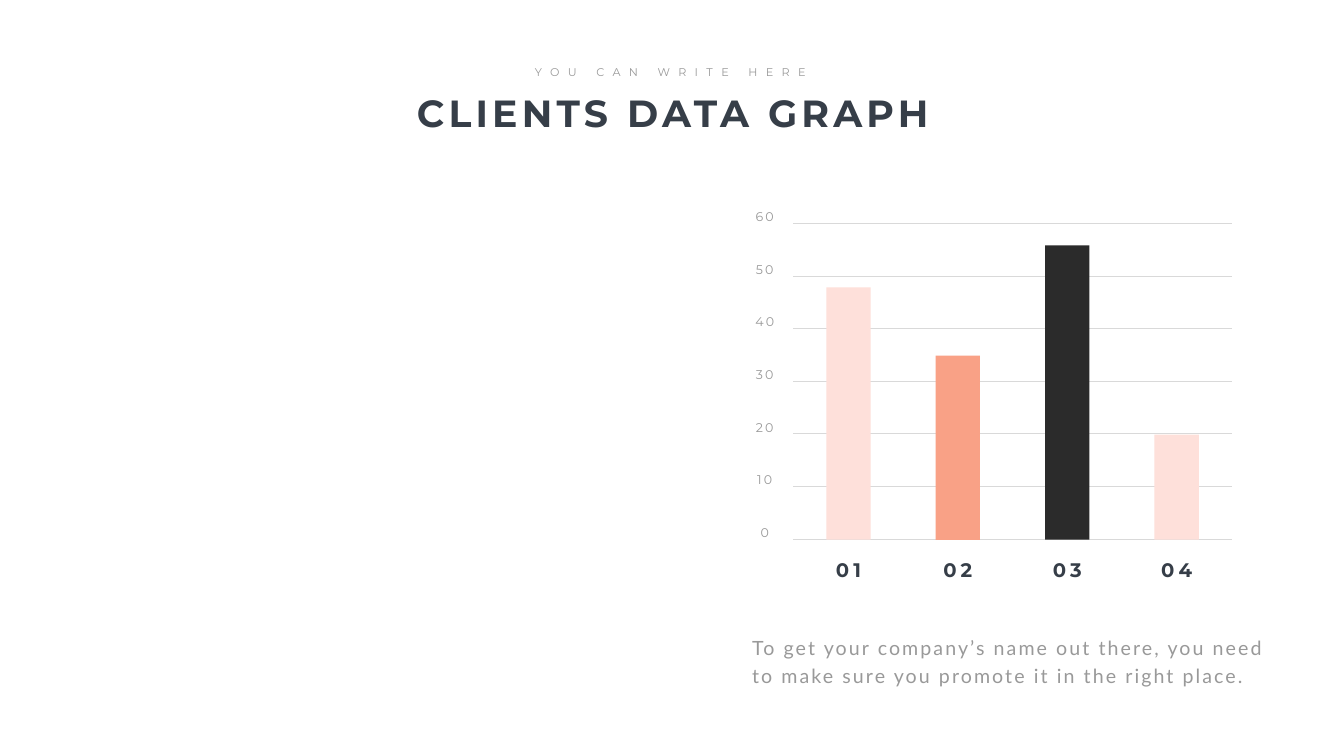
from lxml import etree
from pptx import Presentation
from pptx.dml.color import RGBColor
from pptx.enum.shapes import MSO_CONNECTOR, MSO_SHAPE
from pptx.enum.text import MSO_AUTO_SIZE, PP_ALIGN
from pptx.oxml.ns import qn
from pptx.util import Inches, Pt

STRAIGHT = MSO_CONNECTOR.STRAIGHT
RECTANGLE = MSO_SHAPE.RECTANGLE
GROW = MSO_AUTO_SIZE.SHAPE_TO_FIT_TEXT
CENTER, LEFT = PP_ALIGN.CENTER, PP_ALIGN.LEFT

DARK, GREY, RULE = "363E48", "999999", "D9D9D9"
BLUSH, CORAL, BLACK = "FEE0DA", "F9A186", "2B2B2B"

# Text formats: font attributes, then colour and letter spacing in points
TITLE = (dict(name="Montserrat", size=Pt(54), bold=True), DARK, 6)
SUBTITLE = (dict(name="Montserrat", size=Pt(16)), GREY, 12)
TICK = (dict(name="Montserrat", size=Pt(18)), GREY, 3)
CATEGORY = (dict(name="Montserrat", size=Pt(28), bold=True), DARK, 6)
BODY = (dict(name="Lato", size=Pt(28)), GREY, 3)

BARS = [("01", 48, BLUSH), ("02", 35, CORAL), ("03", 56, BLACK), ("04", 20, BLUSH)]
AXIS_MAX, AXIS_STEP = 60, 10


def color(value):
    return RGBColor.from_string(value)


def add_text(page, box, text, style, align=CENTER, wrap=True, line_spacing=None):
    frame = page.shapes.add_textbox(*map(Inches, box)).text_frame
    frame.word_wrap = wrap
    frame.auto_size = GROW
    para = frame.paragraphs[0]
    para.alignment = align
    para.line_spacing = line_spacing
    span = para.add_run()
    span.text = text
    font_format, text_color, spacing = style
    for name, value in font_format.items():
        setattr(span.font, name, value)
    span.font.color.rgb = color(text_color)
    span._r.get_or_add_rPr().set("spc", str(spacing * 100))


def add_gridline(page, left, right, y):
    line = page.shapes.add_connector(
        STRAIGHT, Inches(left), Inches(y), Inches(right), Inches(y))
    line.line.color.rgb = color(RULE)
    line.line.width = Pt(0.5)
    etree.SubElement(line._element.spPr, qn("a:effectLst"))


def add_bar(page, box, fill):
    bar = page.shapes.add_shape(RECTANGLE, *map(Inches, box))
    bar.shadow.inherit = False
    bar.fill.solid()
    bar.fill.fore_color.rgb = color(fill)
    bar.line.fill.background()


def add_heading(page, box):
    left, top, width, height = box
    add_text(page, (left, top + 0.5, width, 1.01), "CLIENTS DATA GRAPH", TITLE)
    subtitle_width = 5.78
    subtitle_left = left + (width - subtitle_width) / 2 - 0.05
    add_text(page, (subtitle_left, top, subtitle_width, 0.37),
             "YOU CAN WRITE HERE", SUBTITLE, wrap=False)


def add_bar_graph(page, box):
    left, top, width, height = box
    bottom = top + height
    unit = height / AXIS_MAX
    ticks = range(0, AXIS_MAX + 1, AXIS_STEP)

    # Gridlines and axis labels
    for tick in ticks:
        add_gridline(page, left, left + width, bottom - tick * unit)
    for tick in ticks:
        label_top = bottom - tick * unit - 0.33
        add_text(page, (left - 0.92, label_top, 0.7, 0.39), str(tick), TICK)

    # Bars with their category labels
    bar_width, label_width, pitch = 0.88, 2.77, 2.17
    for index, (label, value, fill) in enumerate(BARS):
        bar_left = left + 0.65 + index * pitch
        bar_height = value * unit
        add_bar(page, (bar_left, bottom + 0.02 - bar_height, bar_width, bar_height), fill)
        label_left = bar_left + (bar_width - label_width) / 2
        add_text(page, (label_left, bottom + 0.33, label_width, 0.55), label, CATEGORY)


def add_caption(page, box):
    add_text(page, box,
             "To get your company’s name out there, you need to make sure "
             "you promote it in the right place.",
             BODY, align=LEFT, line_spacing=Pt(40.8))


def main():
    deck = Presentation()
    deck.slide_width, deck.slide_height = Inches(26.66), Inches(15)
    page = deck.slides.add_slide(deck.slide_layouts[6])
    add_heading(page, (7.15, 1.24, 12.4, 1.51))
    add_bar_graph(page, (15.74, 4.43, 8.69, 6.26))
    add_caption(page, (14.82, 12.46, 10.58, 1.19))
    deck.save("out.pptx")


if __name__ == "__main__":
    main()
